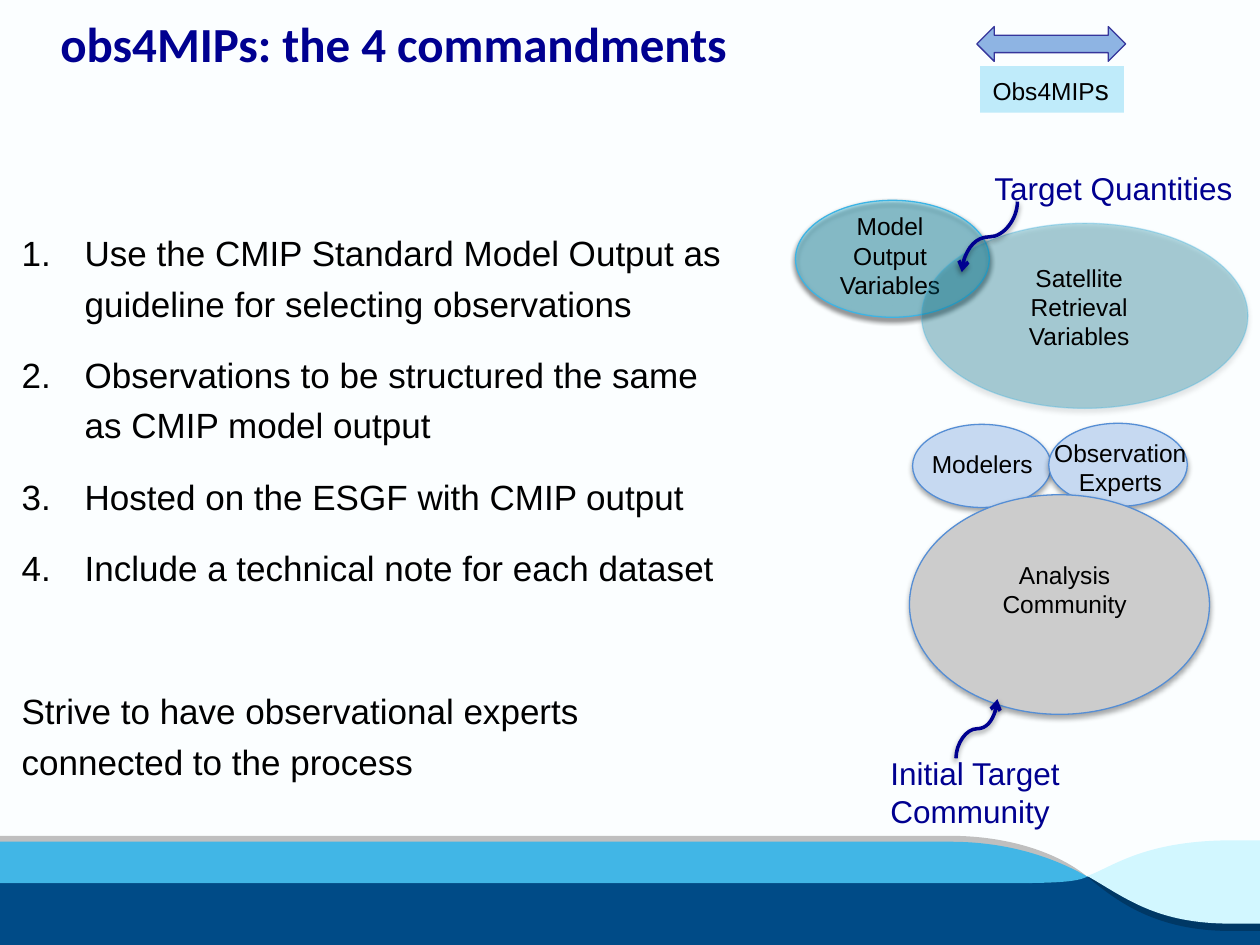
"""Build the obs4MIPs commandments slide."""
from lxml import etree
from pptx import Presentation
from pptx.dml.color import RGBColor
from pptx.enum import shapes, text
from pptx.oxml import ns
from pptx.util import Pt

COLORS = {
    "background": "FBFEFF", "navy": "000090", "black": "000000",
    "footer": "004B87", "shade": "003865", "grey": "BFBFBF",
    "wave": "41B6E6", "foam": "D2F7FF",
    "model": "49DEFF", "satellite": "007F9B", "cyan_edge": "3CB4E5",
    "expert": "C6D9F1", "analysis": "CCCCCC", "blue_edge": "558ED5",
    "arrow": "8EB4E3", "arrow_edge": "35359B", "label": "BFEBFA",
}
CROSSING = (621.4, 501)


def color(name):
    return RGBColor.from_string(COLORS[name])


def add_child(parent, tag, **attributes):
    child = etree.SubElement(parent, ns.qn(tag))
    for key, value in attributes.items():
        child.set(key, str(value))
    return child


def set_alpha(fill_parent, percent):
    clr = fill_parent.find(".//" + ns.qn("a:srgbClr"))
    add_child(clr, "a:alpha", val=percent * 1000)


def add_shadow(properties, opacity):
    effects = add_child(properties, "a:effectLst")
    outer = add_child(effects, "a:outerShdw", blurRad=Pt(3.1), dist=Pt(1.8),
                      dir=5400000, rotWithShape=0)
    clr = add_child(outer, "a:srgbClr", val=COLORS["black"])
    add_child(clr, "a:alpha", val=opacity * 1000)


def add_run(paragraph, content, size, tint, font, bold=False):
    run = paragraph.add_run()
    run.text = content
    run.font.size, run.font.name, run.font.bold = Pt(size), font, bold
    run.font.color.rgb = color(tint)


def write(frame, content, size=14, tint="black", font="Arial", bold=False,
          align=text.PP_ALIGN.LEFT, spacing=None, after=0, before=0,
          numbered=False, new=False):
    """Write each line of content as a paragraph."""
    for index, line in enumerate(content.split("\n")):
        paragraph = frame.add_paragraph() if new or index else frame.paragraphs[0]
        paragraph.alignment = align
        paragraph.line_spacing = spacing
        paragraph.space_after, paragraph.space_before = Pt(after), Pt(before)
        if numbered:
            properties = paragraph._p.get_or_add_pPr()
            properties.set("marL", str(Pt(36)))
            properties.set("indent", str(-Pt(36)))
            add_child(properties, "a:buFont", typeface=font)
            add_child(properties, "a:buAutoNum", type="arabicPeriod")
        add_run(paragraph, line, size, tint, font, bold)


def bend(shape, curves):
    """Join each marked run of three line segments into one cubic curve."""
    lines = list(shape._element.iter(ns.qn("a:lnTo")))
    for index in curves:
        cubic = etree.Element(ns.qn("a:cubicBezTo"))
        lines[index].addprevious(cubic)
        for line in lines[index:index + 3]:
            cubic.append(line[0])
            line.getparent().remove(line)


class Canvas:
    """Holds the slide and its drawing style."""

    def __init__(self, slide):
        self.slide = slide
        self.shapes = slide.shapes
        slide.background.fill.solid()
        slide.background.fill.fore_color.rgb = color("background")

    def paint(self, shape, fill, edge=None):
        shape.shadow.inherit = False
        shape.fill.solid()
        shape.fill.fore_color.rgb = color(fill)
        if edge:
            shape.line.color.rgb = color(edge)
            shape.line.width = Pt(0.75)
        else:
            shape.line.fill.background()
        return shape

    def block(self, kind, box, fill, edge=None):
        return self.paint(self.shapes.add_shape(kind, *map(Pt, box)), fill, edge)

    def wave(self, fill, *contours):
        """Draw closed contours of points and three-point curves."""
        builder, curves, count = None, [], 0
        for start, *steps in contours:
            corner = tuple(map(Pt, start))
            if builder:
                builder.move_to(*corner)
            else:
                builder = self.shapes.build_freeform(*corner, scale=1.0)
            points = []
            for step in steps:
                if len(step) == 3:
                    curves.append(count + len(points))
                    points.extend(step)
                else:
                    points.append(step)
            if points[-1] != start:
                points.append(start)
            count += len(points)
            builder.add_line_segments([(Pt(x), Pt(y)) for x, y in points], close=True)
        shape = self.paint(builder.convert_to_shape(), fill)
        bend(shape, curves)

    def ellipse(self, box, fill, edge, fill_alpha=None, edge_alpha=None):
        shape = self.block(shapes.MSO_SHAPE.OVAL, box, fill, edge)
        properties = shape._element.spPr
        if fill_alpha:
            set_alpha(properties.find(ns.qn("a:solidFill")), fill_alpha)
        if edge_alpha:
            set_alpha(properties.find(ns.qn("a:ln")), edge_alpha)
        properties.remove(properties.find(ns.qn("a:effectLst")))
        add_shadow(properties, 35)

    def text_box(self, box, content="", wrap=True, inset=None,
                 anchor=text.MSO_ANCHOR.TOP, **style):
        frame = self.shapes.add_textbox(*map(Pt, box)).text_frame
        frame.word_wrap = wrap
        frame.vertical_anchor = anchor
        if inset is not None:
            frame.margin_left = frame.margin_right = Pt(inset)
            frame.margin_top = frame.margin_bottom = Pt(inset)
        if content:
            write(frame, content, **style)
        return frame

    def curved_arrow(self, start, end):
        """Draw a curve that leaves and arrives vertically."""
        center_x, center_y = ((a + b) / 2 for a, b in zip(start, end))
        half_x, half_y = (end[1] - start[1]) / 2, (start[0] - end[0]) / 2
        connector = self.shapes.add_connector(
            shapes.MSO_CONNECTOR.CURVE,
            Pt(center_x - half_x), Pt(center_y - half_y),
            Pt(center_x + half_x), Pt(center_y + half_y))
        connector.line.color.rgb = color("navy")
        connector.line.width = Pt(2)
        properties = connector._element.spPr
        properties.find(ns.qn("a:xfrm")).set("rot", "5400000")
        add_child(properties.find(ns.qn("a:ln")), "a:tailEnd", type="arrow")
        add_shadow(properties, 38)


def draw_footer(canvas):
    canvas.block(shapes.MSO_SHAPE.RECTANGLE, (0, 501, 720, 39), "footer")
    canvas.wave("grey",
                [(720, 481), (704.2, 481), ((653.8, 481), (635.8, 496.1), CROSSING),
                 (720, 501), (720, 532)],
                [(542.9, 477.6), (0, 477.6), (0, 501), CROSSING,
                 ((604.8, 487.4), (576.7, 477.6), (542.9, 477.6))])
    canvas.wave("shade",
                [CROSSING, (0, 501), (0, 504.7), (572.4, 504.7),
                 ((604.8, 504.7), (614.9, 504), CROSSING)],
                [(720, 501), CROSSING, ((638.6, 515.5), (661, 532), (703.4, 532)),
                 (720, 532)])
    canvas.wave("wave",
                [CROSSING, ((602.6, 490.3), (576.7, 481), (542.9, 481)), (0, 481),
                 (0, 504.7), (572.4, 504.7), ((604.8, 504.7), (614.9, 504), CROSSING)])
    canvas.wave("foam",
                [(704.2, 480.2), ((653.8, 480.2), (635.8, 495.4), (621.4, 500.6)),
                 ((643.7, 513.4), (661, 527.8), (703.4, 527.8)), (720, 527.8), (720, 480.2)])


def draw_commandments(canvas):
    frame = canvas.text_box((12.4, 127.6, 412, 330), inset=0)
    body = dict(size=20, spacing=1.2, after=12)
    write(frame, "Use the CMIP Standard Model Output as guideline for selecting observations\n"
          "Observations to be structured the same as CMIP model output\n"
          "Hosted on the ESGF with CMIP output\n"
          "Include a technical note for each dataset", numbered=True, **body)
    write(frame, "Strive to have observational experts connected to the process",
          before=41, new=True, **body)
    canvas.text_box((-15.6, -7.9, 481, 64.8), "obs4MIPs: the 4 commandments", size=28,
                    tint="navy", font="Calibri", bold=True, align=text.PP_ALIGN.CENTER,
                    anchor=text.MSO_ANCHOR.MIDDLE)


def draw_diagram(canvas):
    centered = dict(align=text.PP_ALIGN.CENTER)
    callout = dict(size=18, tint="navy", wrap=False)
    canvas.ellipse((454.6, 114.5, 110.7, 66.8), "model", "cyan_edge", 35)
    canvas.text_box((467.6, 117.2, 82, 58.3), "Model Output\nVariables", **centered)
    canvas.ellipse((526.6, 127.6, 186.5, 105.8), "satellite", "cyan_edge", 28, 32)
    canvas.text_box((568.8, 146.5, 95.8, 58.3), "Satellite Retrieval\nVariables", **centered)
    canvas.text_box((561.2, 93.2, 152, 28.8), "Target Quantities", **callout)
    canvas.curved_arrow((581.4, 115.2), (549.6, 155.5))

    canvas.ellipse((521.5, 242.5, 79.2, 47.5), "expert", "blue_edge")
    canvas.text_box((525.4, 253, 72, 24.5), "Modelers", wrap=False)
    canvas.ellipse((599.3, 241.9, 79.2, 47.5), "expert", "blue_edge")
    canvas.text_box((594.9, 246.5, 90.7, 41), "Observation\nExperts", wrap=False, **centered)
    canvas.ellipse((519.7, 282.7, 171.4, 125.5), "analysis", "blue_edge")
    canvas.text_box((564.1, 316.5, 88.6, 41), "Analysis\nCommunity", wrap=False, **centered)
    canvas.text_box((501.8, 427.3, 112.3, 51), "Initial Target\nCommunity", **callout)
    canvas.curved_arrow((546.3, 433.4), (570, 399.6))

    canvas.block(shapes.MSO_SHAPE.LEFT_RIGHT_ARROW, (558.2, 15.2, 85, 19.9), "arrow", "arrow_edge")
    label = canvas.block(shapes.MSO_SHAPE.RECTANGLE, (560.1, 37.8, 82.2, 26.6), "label")
    label.text_frame.vertical_anchor = text.MSO_ANCHOR.TOP
    write(label.text_frame, "Obs4MIP")
    add_run(label.text_frame.paragraphs[0], "s", 16, "black", "Arial")


def main():
    presentation = Presentation()
    presentation.slide_width, presentation.slide_height = Pt(720), Pt(540)
    canvas = Canvas(presentation.slides.add_slide(presentation.slide_layouts[6]))
    draw_footer(canvas)
    draw_commandments(canvas)
    draw_diagram(canvas)
    presentation.save("out.pptx")


if __name__ == "__main__":
    main()
